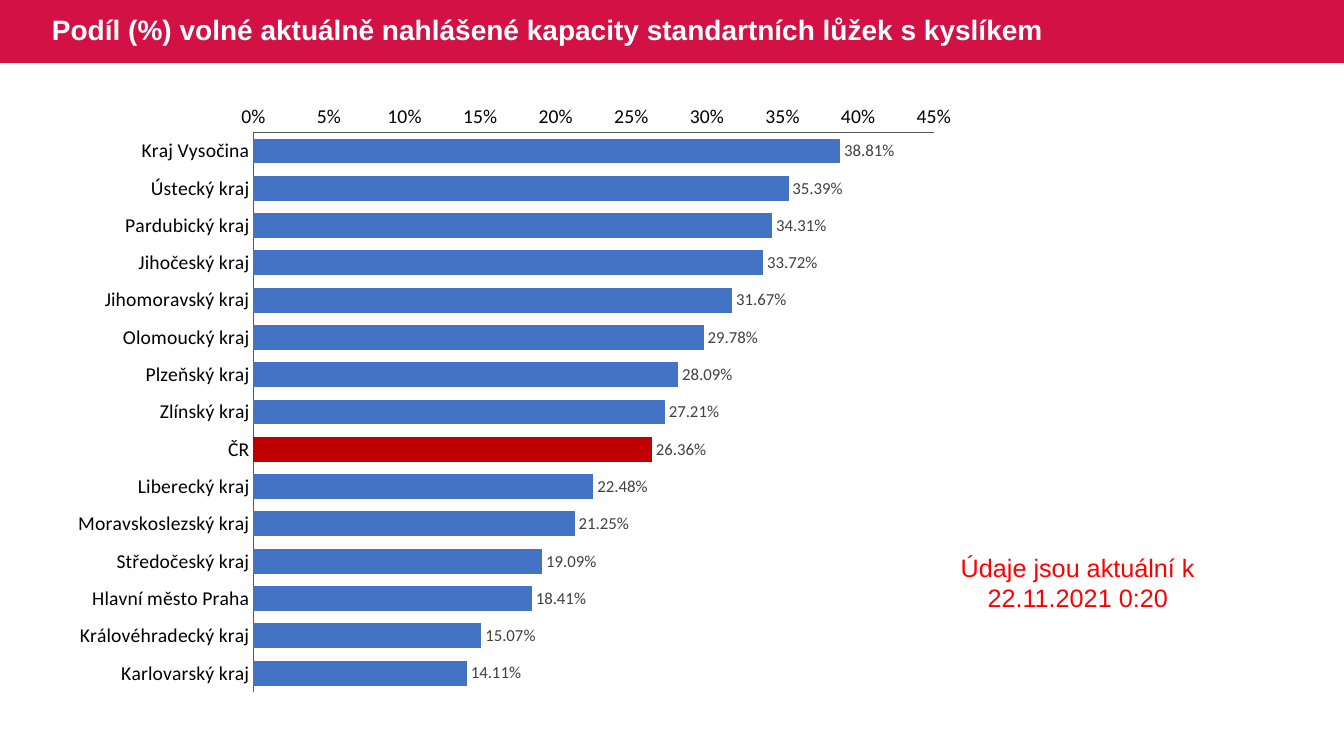
from dataclasses import dataclass

from lxml import etree
from pptx import Presentation
from pptx import util as u
from pptx.chart.data import CategoryChartData
from pptx.dml.color import RGBColor
from pptx.enum import chart as ch
from pptx.enum import shapes, text
from pptx.oxml.ns import qn

COLS, ROWS = 32, 18

SHARES = {
    "Kraj Vysočina": 0.3881,
    "Ústecký kraj": 0.3539,
    "Pardubický kraj": 0.3431,
    "Jihočeský kraj": 0.3372,
    "Jihomoravský kraj": 0.3167,
    "Olomoucký kraj": 0.2978,
    "Plzeňský kraj": 0.2809,
    "Zlínský kraj": 0.2721,
    "ČR": 0.2636,
    "Liberecký kraj": 0.2248,
    "Moravskoslezský kraj": 0.2125,
    "Středočeský kraj": 0.1909,
    "Hlavní město Praha": 0.1841,
    "Královéhradecký kraj": 0.1507,
    "Karlovarský kraj": 0.1411,
}


@dataclass(frozen=True)
class Theme:
    band: str = "D31145"
    white: str = "FFFFFF"
    black: str = "000000"
    bar: str = "4472C4"
    mark: str = "C00000"
    label: str = "404040"
    axis: str = "595959"
    alert: str = "FF0000"
    head: str = "Arial"
    body: str = "Calibri"
    title_pt: int = 20
    note_pt: int = 18
    axis_pt: int = 14
    label_pt: int = 12


def paint(fill, color):
    fill.solid()
    fill.fore_color.rgb = RGBColor.from_string(color)


def style(font, face, size, color, bold=False):
    font.name, font.size, font.bold = face, u.Pt(size), bold
    font.color.rgb = RGBColor.from_string(color)


def write(frame, words, *, face, size, color, bold=False, align=text.PP_ALIGN.LEFT,
          anchor=text.MSO_ANCHOR.TOP, space=1.0):
    frame.word_wrap = True
    frame.vertical_anchor = anchor
    para = frame.paragraphs[0]
    para.alignment, para.line_spacing = align, space
    run = para.add_run()
    run.text = words
    style(run.font, face, size, color, bold)


def place(chart, **shares):
    """Fix the inner plot area as shares (x, y, w, h) of the chart frame."""
    area = chart._chartSpace.chart.plotArea
    for old in area.findall(qn("c:layout")):
        area.remove(old)
    layout = etree.Element(qn("c:layout"))
    area.insert(0, layout)
    manual = etree.SubElement(layout, qn("c:manualLayout"))
    rules = {"layoutTarget": "inner", "xMode": "edge", "yMode": "edge", **shares}
    for name, value in rules.items():
        etree.SubElement(manual, qn(f"c:{name}")).set("val", str(value))


class Deck:
    def __init__(self, theme):
        self.theme = theme
        self.prs = Presentation()
        self.prs.slide_width, self.prs.slide_height = u.Inches(13.33), u.Inches(7.5)
        self.slide = self.prs.slides.add_slide(self.prs.slide_layouts[6])

    def grid(self, col, row, wide, high):
        """Turn grid columns and rows into slide lengths."""
        x, y = self.prs.slide_width / COLS, self.prs.slide_height / ROWS
        return [round(n) for n in (col * x, row * y, wide * x, high * y)]

    def band(self, *cell):
        shape = self.slide.shapes.add_shape(shapes.MSO_SHAPE.RECTANGLE, *self.grid(*cell))
        shape.shadow.inherit = False
        paint(shape.fill, self.theme.band)
        shape.line.fill.background()

    def label(self, cell, words, **form):
        box = self.slide.shapes.add_textbox(*self.grid(*cell))
        write(box.text_frame, words, **form)

    def bars(self, cell, shares, marked):
        t = self.theme
        data = CategoryChartData(number_format="0.00%")
        data.categories = list(shares)
        data.add_series("Podíl", list(shares.values()))
        chart = self.slide.shapes.add_chart(
            ch.XL_CHART_TYPE.BAR_CLUSTERED, *self.grid(*cell), data).chart
        chart.has_legend = chart.has_title = False
        style(chart.font, t.body, t.label_pt, t.black)
        place(chart, x=0.21, y=0.065, w=0.75, h=0.91)

        for axis in (chart.category_axis, chart.value_axis):
            axis.has_major_gridlines = False
            axis.major_tick_mark = axis.minor_tick_mark = ch.XL_TICK_MARK.NONE
            style(axis.tick_labels.font, t.body, t.axis_pt, t.black)
            paint(axis.format.line.fill, t.axis)
            axis.format.line.width = u.Pt(0.75)
        chart.category_axis.reverse_order = True
        scale = chart.value_axis
        scale.minimum_scale, scale.maximum_scale, scale.major_unit = 0, 0.45, 0.05
        scale.tick_labels.number_format = "0%"
        scale.tick_labels.number_format_is_linked = False

        plot = chart.plots[0]
        plot.gap_width, plot.vary_by_categories = 50, False
        series = plot.series[0]
        paint(series.format.fill, t.bar)
        paint(series.points[list(shares).index(marked)].format.fill, t.mark)
        tags = series.data_labels
        tags.show_value = True
        tags.number_format, tags.number_format_is_linked = "0.00%", False
        tags.position = ch.XL_LABEL_POSITION.OUTSIDE_END
        style(tags.font, t.body, t.label_pt, t.label)


def main():
    t = Theme()
    deck = Deck(t)
    deck.band(0, 0, COLS, 1.5)
    deck.label((1, 0, 27.75, 1.5),
               "Podíl (%) volné aktuálně nahlášené kapacity standartních lůžek s kyslíkem",
               face=t.head, size=t.title_pt, color=t.white, bold=True,
               anchor=text.MSO_ANCHOR.MIDDLE, space=0.9)
    deck.bars((1.5, 2.2, 21.6, 14.64), SHARES, "ČR")
    deck.label((22.6, 13.03, 6.12, 1.7), "Údaje jsou aktuální k 22.11.2021 0:20",
               face=t.head, size=t.note_pt, color=t.alert, align=text.PP_ALIGN.CENTER)
    deck.prs.save("out.pptx")


if __name__ == "__main__":
    main()
